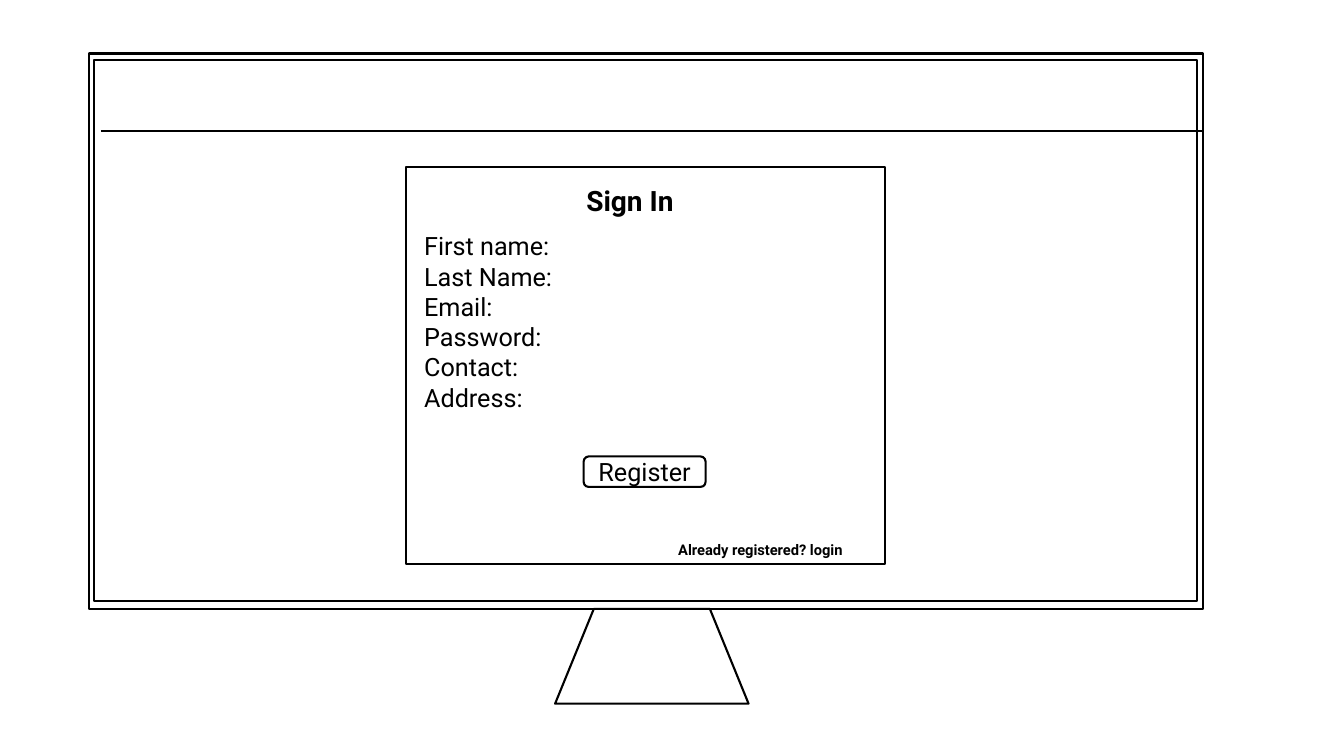
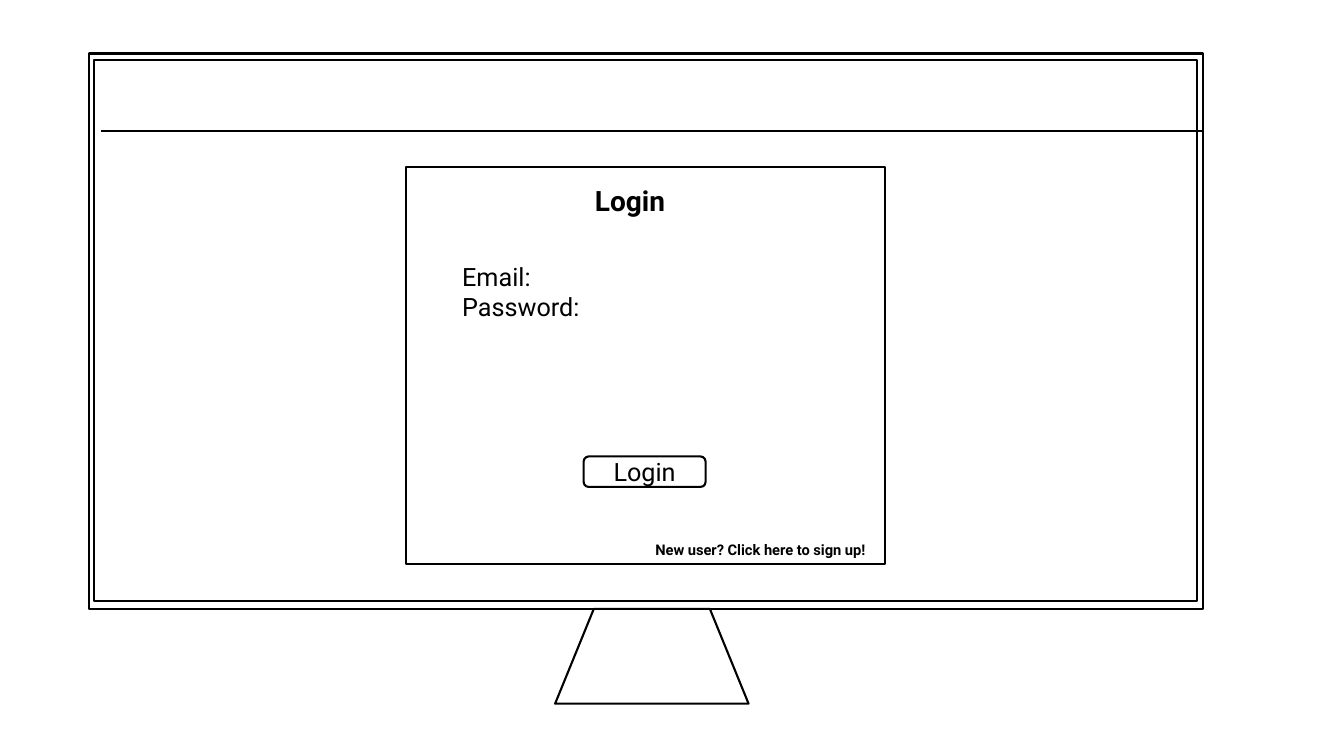
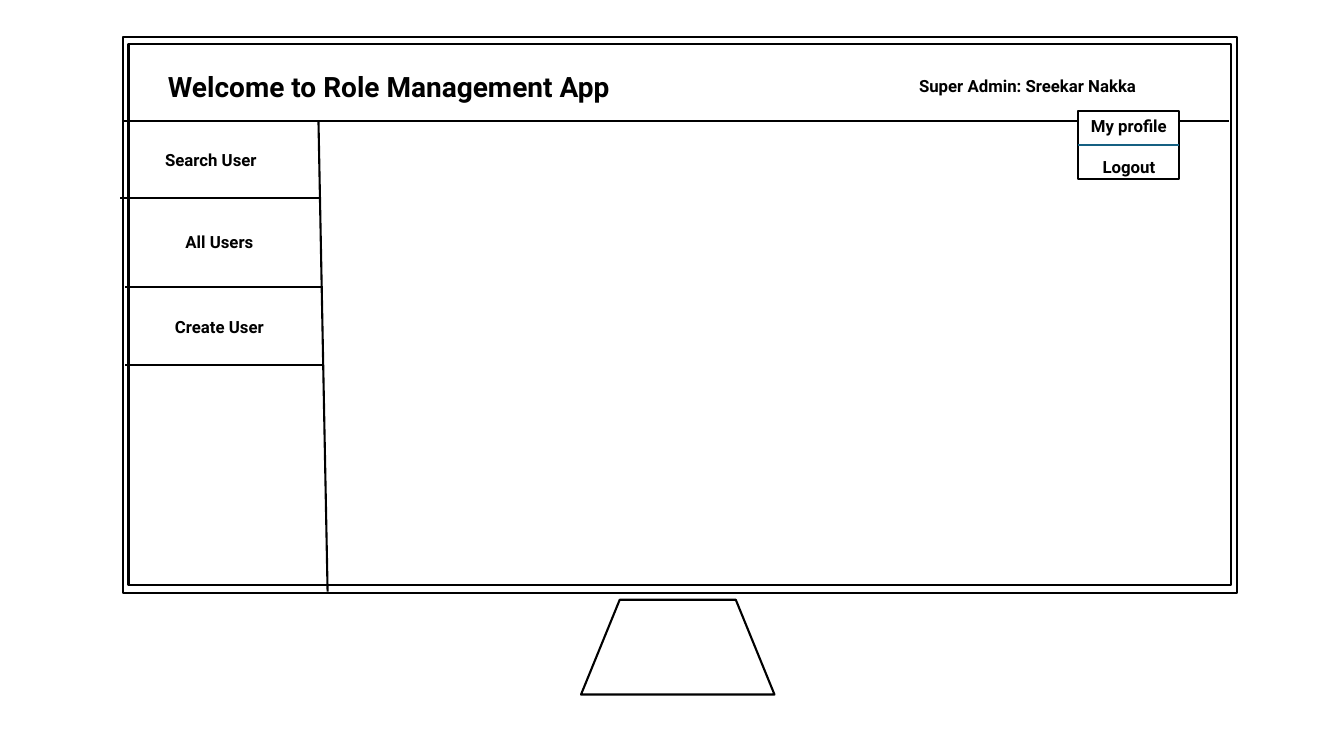
from lxml import etree
from pptx import Presentation
from pptx.dml.color import RGBColor
from pptx.enum.shapes import MSO_CONNECTOR, MSO_SHAPE
from pptx.enum.text import MSO_ANCHOR, MSO_AUTO_SIZE, PP_ALIGN
from pptx.oxml.ns import qn
from pptx.util import Pt

LINE = MSO_CONNECTOR.STRAIGHT
RECTANGLE = MSO_SHAPE.RECTANGLE
ROUNDED = MSO_SHAPE.ROUNDED_RECTANGLE
PROCESS = MSO_SHAPE.FLOWCHART_PROCESS
STAND = MSO_SHAPE.FLOWCHART_MANUAL_OPERATION
LEFT, CENTER = PP_ALIGN.LEFT, PP_ALIGN.CENTER
TOP, MIDDLE = MSO_ANCHOR.TOP, MSO_ANCHOR.MIDDLE
GROW, FIXED = MSO_AUTO_SIZE.SHAPE_TO_FIT_TEXT, MSO_AUTO_SIZE.NONE

FONT = "Roboto"
COLOURS = {"ink": "000000", "paper": "FFFFFF", "accent": "156082"}
TITLE_ONLY = 5


def draw(page, kind, *place, colour="ink"):
    lengths = [Pt(length) for length in place]
    if kind is LINE:
        shape = page.shapes.add_connector(LINE, *lengths)
    else:
        shape = page.shapes.add_shape(kind, *lengths)
        shape.shadow.inherit = False
        shape.fill.solid()
        shape.fill.fore_color.rgb = RGBColor.from_string(COLOURS["paper"])
    shape.line.color.rgb = RGBColor.from_string(COLOURS[colour])
    shape.line.width = Pt(1.5)
    if kind is LINE:
        etree.SubElement(shape.element.spPr, qn("a:effectLst"))
    return shape


def write(box, text, size=12, bold=True, align=CENTER, anchor=TOP, fit=GROW, gap=0):
    frame = box.text_frame
    frame.text = text
    frame.word_wrap = True
    frame.auto_size = fit
    frame.vertical_anchor = anchor
    frame.margin_left = frame.margin_right = Pt(7.2)
    frame.margin_top = frame.margin_bottom = Pt(3.6)
    for index, para in enumerate(frame.paragraphs):
        para.alignment = align
        para.line_spacing = 1.0
        para.space_before = Pt(gap if index else 0)
        for span in para.runs:
            span.font.name = FONT
            span.font.size = Pt(size)
            span.font.bold = bold
            span.font.color.rgb = RGBColor.from_string(COLOURS["ink"])


deck = Presentation()
deck.slide_width, deck.slide_height = Pt(960), Pt(540)

form_monitor = {
    "screen": (63.4, 38.2),
    "stand": (396.5, 434.9),
    "rules": [(72, 93.6, 859.7, 93.6)],
    "title_place": (339.5, 127.4, 221, 31.7),
}
screens = [
    {
        **form_monitor,
        "title": "Sign In",
        "fields": "First name:\nLast Name:\nEmail:\nPassword:\nContact:\nAddress:",
        "fields_place": (295.9, 161.3, 285.1, 159.8),
        "button": "Register",
        "hint": "Already registered? login",
    },
    {
        **form_monitor,
        "title": "Login",
        "fields": "Email:\nPassword:",
        "fields_place": (323.1, 183.1, 285.1, 72.7),
        "button": "Login",
        "hint": "New user? Click here to sign up!",
    },
    {
        "screen": (87.8, 26.6),
        "stand": (415, 428.4),
        "rules": [
            (87.8, 86.4, 877.7, 86.4),
            (227.5, 86.4, 234, 422.6),
            (85.9, 141.4, 228.5, 141.4),
            (89.3, 205.2, 230.4, 205.2),
            (89.3, 260.6, 230.4, 260.6),
        ],
        "title_place": (81.2, 46.1, 393.1, 31.7),
        "title": "Welcome to Role Management App",
        "labels": [
            ("Super Admin: Sreekar Nakka", 636.5, 50.4),
            ("Search User", 53.1, 103.3),
            ("All Users", 59.2, 162),
            ("Create User", 59.2, 222.5),
        ],
    },
]

for screen in screens:
    page = deck.slides.add_slide(deck.slide_layouts[TITLE_ONLY])
    left, top = screen["screen"]
    draw(page, RECTANGLE, left, top, 795.6, 396.7)
    draw(page, RECTANGLE, left + 4, top + 4.7, 787.7, 386.6)
    draw(page, STAND, *screen["stand"], 138.2, 67.7).rotation = 180
    for rule in screen["rules"]:
        draw(page, LINE, *rule)

    if "fields" in screen:
        draw(page, RECTANGLE, 290.2, 119.5, 342, 283.7)
        fields = page.shapes.add_textbox(*map(Pt, screen["fields_place"]))
        write(fields, screen["fields"], size=18, bold=False, align=LEFT)
        button = draw(page, ROUNDED, 416.9, 326, 87.1, 21.8)
        write(button, screen["button"], size=18, bold=False, anchor=MIDDLE, fit=FIXED)
        hint = page.shapes.add_textbox(Pt(432.7), Pt(383), Pt(221), Pt(20))
        write(hint, screen["hint"], size=10.5)
    else:
        for text, label_left, label_top in screen["labels"]:
            label = page.shapes.add_textbox(Pt(label_left), Pt(label_top), Pt(195.1), Pt(21.8))
            write(label, text)
        draw(page, PROCESS, 770.1, 79.4, 72, 48.4)
        draw(page, LINE, 770.1, 103.7, 842.1, 103.7, colour="accent")
        menu = page.shapes.add_textbox(Pt(753.5), Pt(79.2), Pt(105.8), Pt(51.1))
        write(menu, "My profile\nLogout", gap=14.6)

    title = page.shapes.title
    title.left, title.top, title.width, title.height = map(Pt, screen["title_place"])
    write(title, screen["title"], size=20, fit=FIXED)
    title.element.getparent().append(title.element)

deck.save("out.pptx")
